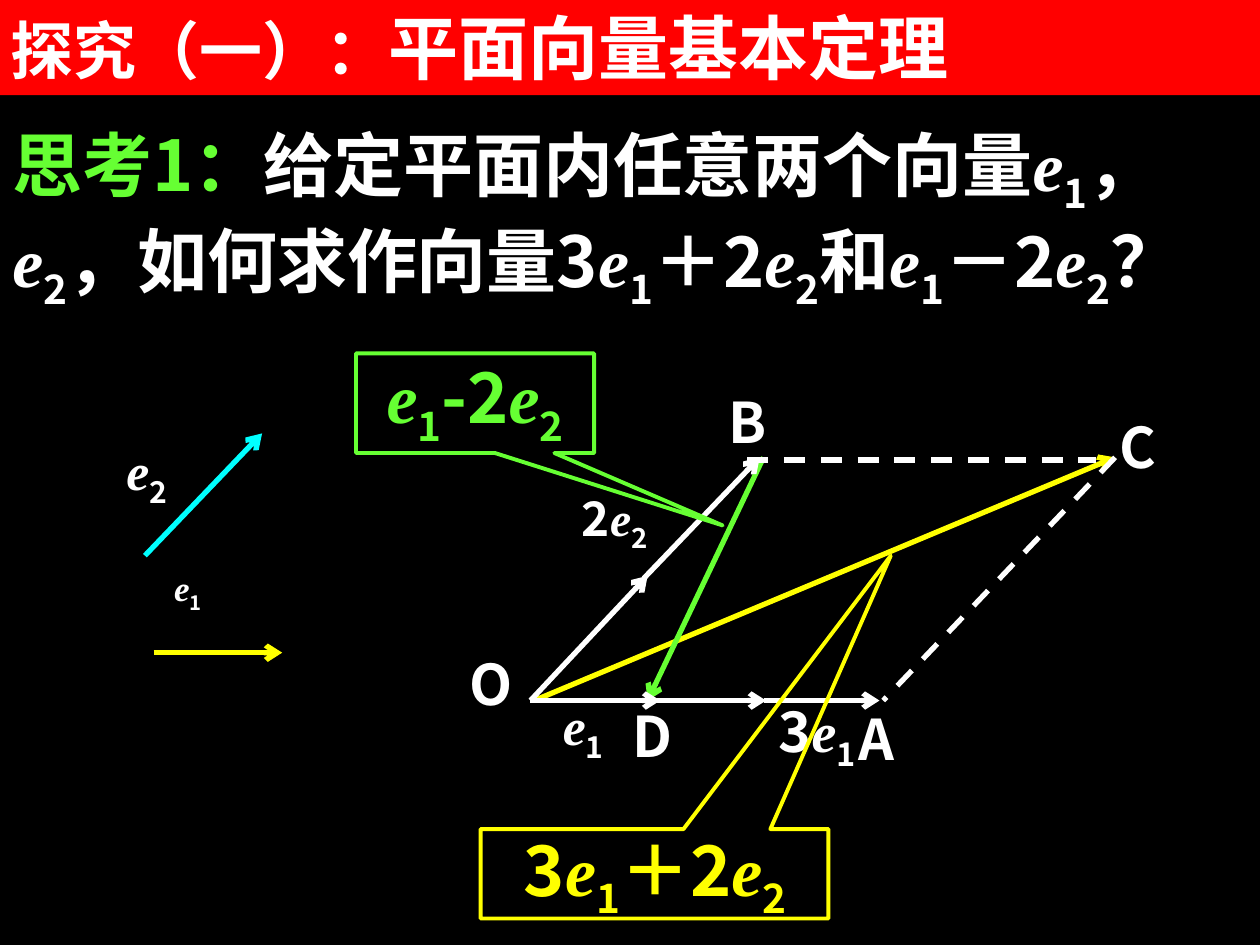
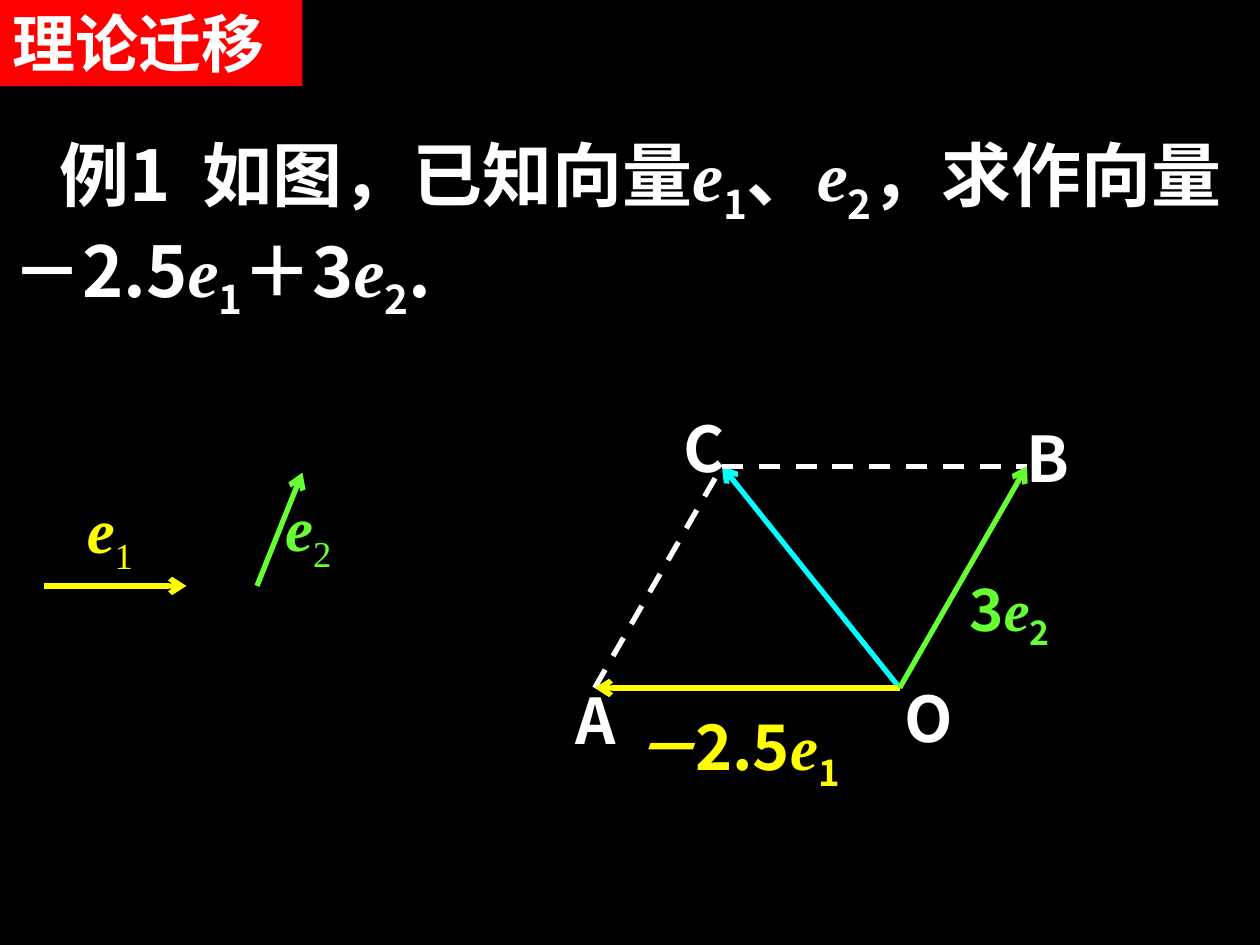
from lxml.etree import SubElement
from pptx import Presentation
from pptx.dml.color import RGBColor
from pptx.enum.dml import MSO_LINE
from pptx.enum.shapes import MSO_CONNECTOR, MSO_SHAPE
from pptx.enum.text import MSO_ANCHOR, PP_ALIGN
from pptx.oxml.ns import qn
from pptx.util import Emu, Inches, Pt

WIDTH, HEIGHT = Inches(10), Inches(7.5)
COLS, ROWS = 100, 75
BLACK, WHITE, RED = "000000", "FFFFFF", "FF0000"
GREEN, YELLOW, CYAN = "66FF33", "FFFF00", "00FFFF"
SANS, SERIF, TITLE_FONT = "Noto Sans CJK SC", "Times New Roman", "Arial"


def ink(value):
    return RGBColor.from_string(value)


def across(cols):
    return Emu(round(WIDTH * cols / COLS))


def down(rows):
    return Emu(round(HEIGHT * rows / ROWS))


def place(box):
    x, y, w, h = box
    return across(x), down(y), across(w), down(h)


def add_run(p, text, size, color, baseline=0, **formats):
    r = p.add_run()
    r.text = text
    values = {"name": SANS, "size": Pt(size), "bold": True, "italic": False}
    for key, value in (values | formats).items():
        setattr(r.font, key, value)
    r.font.color.rgb = ink(color)
    props = r._r.get_or_add_rPr()
    SubElement(props, qn("a:ea")).set("typeface", SANS)
    if baseline:
        props.set("baseline", str(baseline * 1000))
    return props


def add_formula(p, text, size, color, index_formats=None):
    lead, *terms = text.split("e_")
    if lead:
        add_run(p, lead, size, color)
    for term in terms:
        add_run(p, "e", size, color, name=SERIF, italic=True)
        add_run(p, term[0], size, color, -25, **(index_formats or {}))
        if term[1:]:
            add_run(p, term[1:], size, color)


def add_text(s, box, spacing=None, align=PP_ALIGN.LEFT):
    tf = s.shapes.add_textbox(*place(box)).text_frame
    tf.word_wrap = True
    p = tf.paragraphs[0]
    p.alignment = align
    if spacing:
        p.line_spacing = spacing
    return p


def add_label(s, box, text, size=32, color=WHITE, spacing=None, index_formats=None):
    p = add_text(s, box, spacing, PP_ALIGN.JUSTIFY)
    add_formula(p, text, size, color, index_formats)


def add_line(s, start, end, color=WHITE, dashed=False):
    ends = across(start[0]), down(start[1]), across(end[0]), down(end[1])
    line = s.shapes.add_connector(MSO_CONNECTOR.STRAIGHT, *ends)
    line.line.width = Pt(3)
    line.line.color.rgb = ink(color)
    if dashed:
        line.line.dash_style = MSO_LINE.DASH
    else:
        SubElement(line.line._get_or_add_ln(), qn("a:tailEnd")).set("type", "arrow")
    SubElement(line._element.spPr, qn("a:effectLst"))


def add_callout(s, box, tip, text_box, text, color):
    p = add_text(s, text_box)
    add_formula(p, text, 40, color)
    sp = s.shapes.add_shape(MSO_SHAPE.RECTANGULAR_CALLOUT, *place(box))
    sp.shadow.inherit = False
    sp.fill.background()
    sp.line.width = Pt(2.25)
    sp.line.color.rgb = ink(color)
    x, y, w, h = box
    sp.adjustments[0] = (tip[0] - x - w / 2) / w
    sp.adjustments[1] = (tip[1] - y - h / 2) / h


def add_slide(prs, band, *title):
    s = prs.slides.add_slide(prs.slide_layouts[6])
    s.background.fill.solid()
    s.background.fill.fore_color.rgb = ink(BLACK)
    sp = s.shapes.add_shape(MSO_SHAPE.RECTANGLE, *place(band))
    sp.shadow.inherit = False
    sp.fill.solid()
    sp.fill.fore_color.rgb = ink(RED)
    sp.line.fill.background()
    tf = sp.text_frame
    tf.word_wrap = True
    tf.vertical_anchor = MSO_ANCHOR.MIDDLE
    p = tf.paragraphs[0]
    p.alignment = PP_ALIGN.LEFT
    for text, size in title:
        add_run(p, text, size, WHITE, name=TITLE_FONT)
    return s


def build_theorem(prs):
    s = add_slide(prs, (-0.13, -0.15, 100.13, 7.7), ("探究（一）：", 36), ("平面向量基本定理", 40))
    p = add_text(s, (0, 9.15, 100, 22.9))
    add_formula(p, "思考1：", 40, GREEN)
    add_formula(p, "给定平面内任意两个向量e_1，e_2，如何求作向量3e_1＋2e_2和e_1－2e_2？", 40, WHITE)

    add_line(s, (12.2, 51.8), (22.4, 51.8), YELLOW)
    add_line(s, (11.5, 44.1), (20.8, 34.4), CYAN)
    add_label(s, (12.84, 44.8, 8, 4.9), "e_1", 20, spacing=0.8)
    add_label(s, (9.05, 34.4, 8.7, 6.8), "e_2", 29.6, spacing=0.9)

    base, top = 55.6, 36.3
    origin, corner = (42.1, base), (88.5, top)
    add_line(s, (42.4, base), corner, YELLOW)
    add_line(s, (60.6, top), (51.4, base), GREEN)
    add_line(s, (51.1, 45.9), (60.3, top))
    add_line(s, origin, (51.4, 45.7))
    add_line(s, (59.3, 36.5), (87, 36.5), dashed=True)
    add_line(s, corner, (70.1, base), dashed=True)
    for start, end in ((42.1, 52.4), (51.6, 60.8), (60.6, 69.8)):
        add_line(s, (start, base), (end, base))

    add_label(s, (45.2, 38.35, 9.5, 6.6), "2e_2", 27.2, spacing=0.9)
    add_label(s, (43.7, 54.6, 6, 7.1), "e_1", 29.6, spacing=0.9)
    for text, box in {
        "B": (56.8, 30.25, 6.9, 7.1),
        "C": (87.85, 32.25, 6.1, 7),
        "O": (36.3, 51.05, 5.1, 8.5),
        "3e_1": (60.8, 54.8, 9.7, 8.7),
        "A": (67.15, 55.4, 5.8, 6.6),
        "D": (49.2, 55.15, 5.5, 7.4),
    }.items():
        add_label(s, box, text)

    add_callout(s, (38.15, 65.8, 27.6, 7.1), (70.7, 44.1), (40.6, 65.1, 29.9, 8.6), "3e_1＋2e_2", YELLOW)
    add_callout(s, (28.25, 28.05, 18.9, 7.9), (57.35, 41.7), (29.7, 27.6, 19.3, 8.6), "e_1-2e_2", GREEN)


def build_example(prs):
    s = add_slide(prs, (0, -0.15, 24, 7), ("理论迁移", 36))
    p = add_text(s, (0, 9.95, 100, 16.2))
    p._p.get_or_add_pPr().set("indent", str(across(3.75)))
    add_run(p, "例1", 40, WHITE)
    add_run(p, " ", 40, WHITE).set("spc", "900")
    add_formula(p, "如图，已知向量e_1、e_2，求作向量－2.5e_1＋3e_2.", 40, WHITE)

    light_serif = {"name": SERIF, "bold": False}
    add_line(s, (20.4, 46.5), (24, 37.5), GREEN)
    add_label(s, (5.9, 38.45, 7.1, 8.2), "e_1", 36, YELLOW, index_formats=light_serif)
    add_label(s, (21.65, 38.3, 7.2, 9), "e_2", 36, GREEN, index_formats=light_serif)
    add_line(s, (3.5, 46.5), (14.8, 46.5), YELLOW)

    a, b, c, o = (47.2, 54.6), (81.5, 37), (57.3, 37), (71.4, 54.6)
    add_line(s, o, c, CYAN)
    add_line(s, c, b, dashed=True)
    add_line(s, a, c, dashed=True)
    add_line(s, o, a, YELLOW)
    add_line(s, o, b, GREEN)
    for text, corner in {"C": (53.3, 32), "O": (70.8, 53.4), "A": (44.7, 53.6), "B": (80.5, 32.8)}.items():
        add_label(s, (*corner, 8.1, 7.6), text, 36)

    p = add_text(s, (49.2, 55.65, 20.5, 9.1), align=PP_ALIGN.JUSTIFY)
    add_run(p, "－", 36, YELLOW, italic=True)
    add_formula(p, "2.5e_1", 36, YELLOW)
    add_label(s, (75.95, 45.05, 10.8, 7.6), "3e_2", 33.3, GREEN, spacing=0.9)


def main():
    prs = Presentation()
    prs.slide_width, prs.slide_height = WIDTH, HEIGHT
    build_theorem(prs)
    build_example(prs)
    prs.save("out.pptx")


if __name__ == "__main__":
    main()
